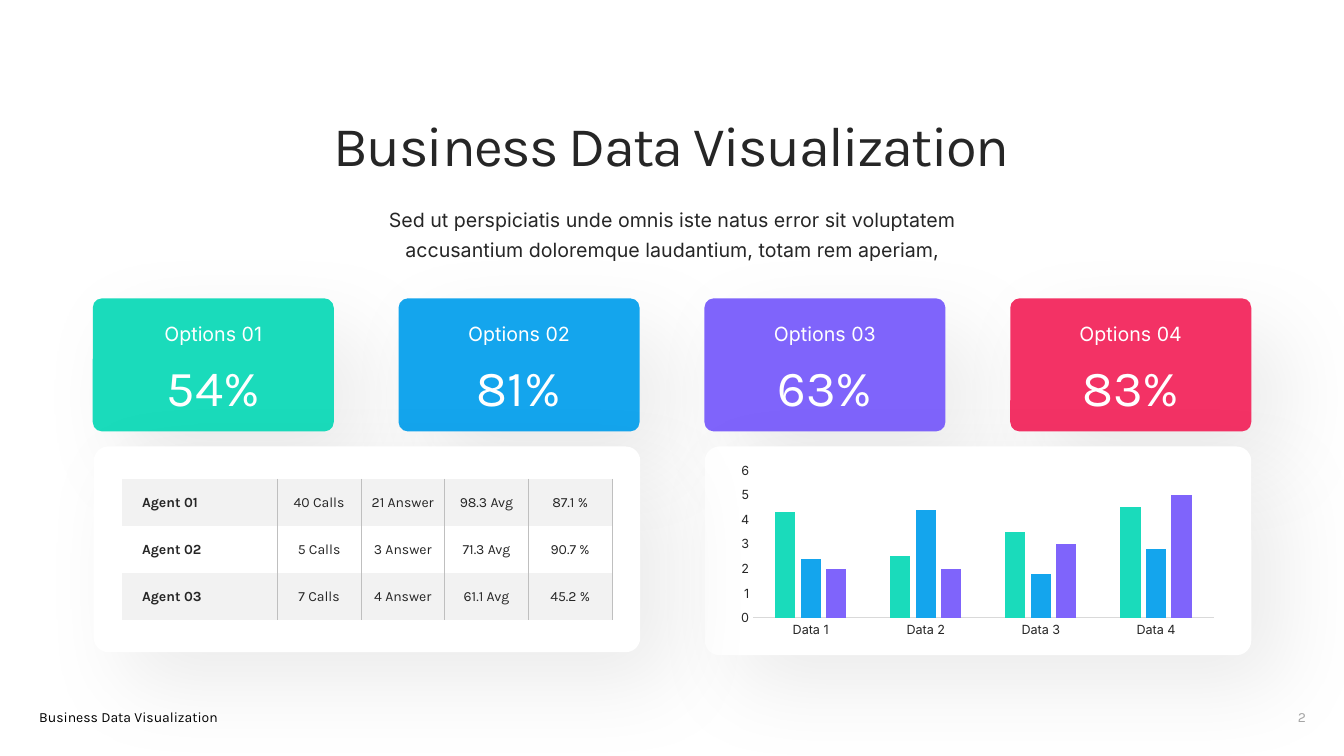
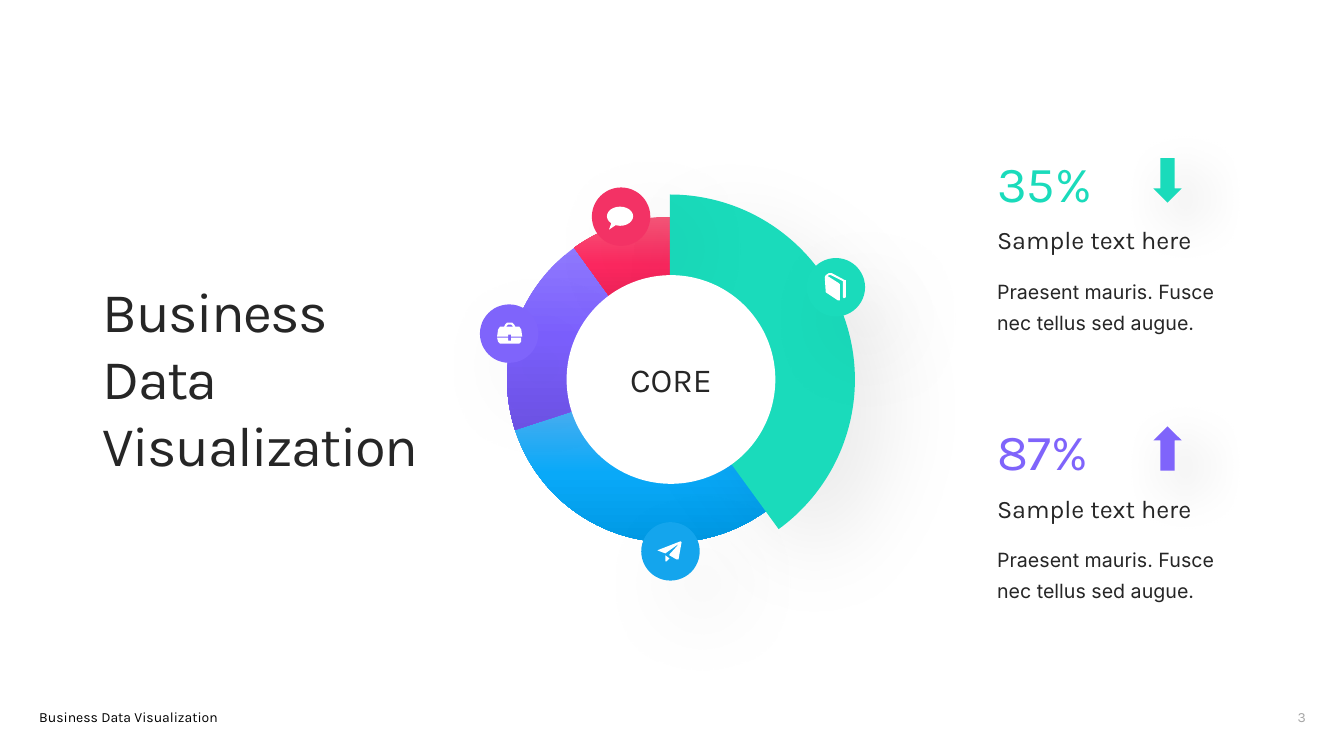
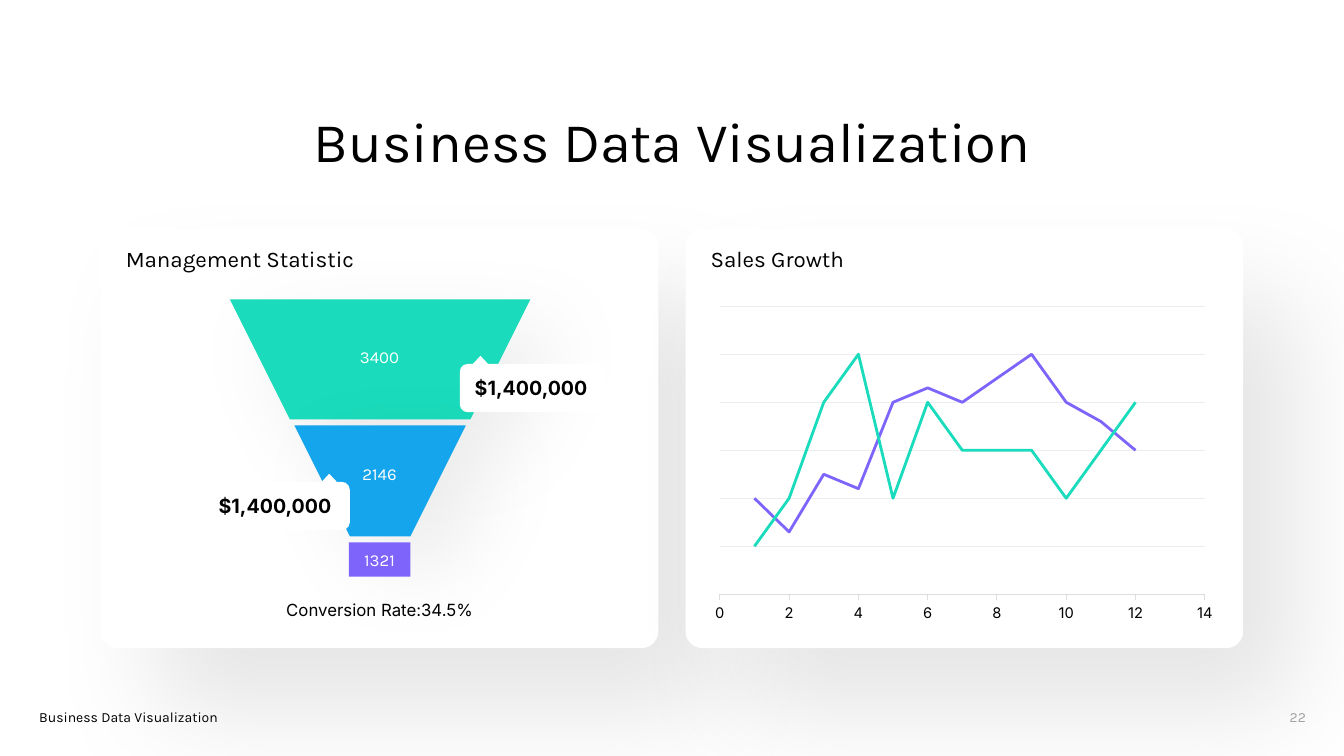
from copy import deepcopy

from lxml.etree import SubElement
from pptx import Presentation
from pptx.chart.data import CategoryChartData, XyChartData
from pptx.dml.color import RGBColor
from pptx.enum.chart import XL_CHART_TYPE, XL_TICK_MARK
from pptx.enum.shapes import MSO_SHAPE
from pptx.enum.text import MSO_ANCHOR, MSO_AUTO_SIZE, PP_ALIGN
from pptx.oxml import parse_xml
from pptx.oxml.ns import nsdecls, qn
from pptx.util import Inches, Pt

TEAL, BLUE, PURPLE, RED = "1ADBBB", "14A5ED", "7F64FB", "F33265"
BLACK, DARK, WHITE = "000000", "262626", "FFFFFF"
PALE, RULE, GREY = "F2F2F2", "BFBFBF", "A6A6A6"
HEADING_FONT, BODY_FONT = "Karla", "Inter"
TITLE = "Business Data Visualization"
NO_TABLE_STYLE = "{2D5ABB26-0587-4C30-8999-92F81FD0307C}"

# Shadows: opacity in percent, blur and distance in points, angle in degrees
SOFT_SHADOW = (8, 64, 32, 45)
ARROW_SHADOW = (23, 40, 18, 45)
PANEL_SHADOW = (10, 80, 60, 50)

# Icon outlines, in hundredths of an inch from the corner of their badge
BRIEFCASE = [
    [(28, 30), (31, 30), (31, 32), (42, 32), (41, 25), (39, 22), (35, 22), (34, 20),
     (32, 18), (27, 18), (25, 20), (24, 22), (20, 22), (18, 25), (17, 32), (28, 32)],
    [(26, 22), (28, 20), (31, 20), (33, 22)],
    [(31, 36), (28, 36), (28, 33), (17, 33), (18, 37), (20, 39), (39, 39), (41, 37),
     (41, 33), (31, 33)],
]
PAPER_PLANE = [
    [(39, 19), (16, 28), (21, 30), (24, 31), (38, 21), (28, 32), (28, 33), (35, 37),
     (37, 37), (40, 20)],
    [(24, 39), (25, 39), (28, 36), (24, 33)],
]
BOOK = [
    [(38, 22), (25, 15), (22, 15), (19, 17), (18, 19), (19, 34), (31, 42), (33, 42),
     (33, 26), (32, 25), (21, 18), (22, 17), (24, 17), (36, 23), (36, 39), (37, 40),
     (39, 39), (39, 22)],
]


def rgb(value):
    return RGBColor.from_string(value)


def box(left, top, width, height):
    return Inches(left), Inches(top), Inches(width), Inches(height)


def write_text(frame, content, size, color=DARK, font=HEADING_FONT, align=PP_ALIGN.LEFT,
               spacing=None, before=None, after=None, bold=False, anchor=MSO_ANCHOR.TOP):
    """Fill a text frame with one paragraph and return its run."""
    frame.word_wrap = True
    frame.vertical_anchor = anchor
    paragraph = frame.paragraphs[0]
    paragraph.alignment = align
    if spacing:
        paragraph.line_spacing = spacing
    if before:
        paragraph.space_before = Pt(before)
    if after:
        paragraph.space_after = Pt(after)
    run = paragraph.add_run()
    run.text = content
    run.font.size = Pt(size)
    run.font.name = font
    run.font.bold = bold
    run.font.color.rgb = rgb(color)
    return run


def add_text(slide, place, content, size, **style):
    text_box = slide.shapes.add_textbox(*box(*place))
    write_text(text_box.text_frame, content, size, **style)


def add_filled(shapes, kind, place, color, shadow=None, adjustments=()):
    """Add a borderless preset shape, with a soft shadow if one is given."""
    shape = shapes.add_shape(kind, *box(*place))
    for index, value in enumerate(adjustments):
        shape.adjustments[index] = value
    paint(shape, color)
    if shadow:
        opacity, blur, distance, angle = shadow
        effects = shape._element.spPr.find(qn("a:effectLst"))
        outer = SubElement(effects, qn("a:outerShdw"), blurRad=str(Pt(blur)),
                           dist=str(Pt(distance)), dir=str(angle * 60000),
                           algn="ctr", rotWithShape="0")
        shadow_color = SubElement(outer, qn("a:srgbClr"), val=BLACK)
        SubElement(shadow_color, qn("a:alpha"), val=str(opacity * 1000))
    return shape


def paint(shape, color):
    shape.shadow.inherit = False
    shape.fill.solid()
    shape.fill.fore_color.rgb = rgb(color)
    shape.line.fill.background()


def start_slide(presentation, number, title_place, title_color=DARK,
                title_align=PP_ALIGN.CENTER, tracking=-110):
    """Add a slide with its title, footer and page number."""
    slide = presentation.slides.add_slide(presentation.slide_layouts[5])
    title = slide.shapes.title
    title.left, title.top, title.width, title.height = box(*title_place)
    title.text_frame.auto_size = MSO_AUTO_SIZE.NONE
    run = write_text(title.text_frame, TITLE, 40, color=title_color, align=title_align)
    run.font._element.set("spc", str(tracking))
    add_text(slide, (0.29, 6.98, 2.2, 0.27), TITLE, 10, color=BLACK)
    add_text(slide, (12.55, 6.98, 0.5, 0.27), str(number), 10, color=GREY,
             align=PP_ALIGN.RIGHT)
    return slide


def add_chart(slide, kind, place, plot_place, data, size, color):
    """Add a chart whose inner plot area sits at plot_place on the slide."""
    chart = slide.shapes.add_chart(kind, *box(*place), data).chart
    chart.has_legend = False
    chart.has_title = False
    chart.font.size = Pt(size)
    chart.font.name = BODY_FONT
    chart.font.color.rgb = rgb(color)
    left, top, width, height = place
    plot_left, plot_top, plot_width, plot_height = plot_place
    plot_area = chart._chartSpace.find(".//" + qn("c:plotArea"))
    for layout in plot_area.findall(qn("c:layout")):
        plot_area.remove(layout)
    plot_area.insert(0, parse_xml(
        f'<c:layout {nsdecls("c")}><c:manualLayout><c:layoutTarget val="inner"/>'
        '<c:xMode val="edge"/><c:yMode val="edge"/>'
        f'<c:x val="{(plot_left - left) / width:.3f}"/>'
        f'<c:y val="{(plot_top - top) / height:.3f}"/>'
        f'<c:w val="{plot_width / width:.3f}"/><c:h val="{plot_height / height:.3f}"/>'
        '</c:manualLayout></c:layout>'))
    return chart


def set_scale(axis, maximum, step):
    axis.minimum_scale = 0
    axis.maximum_scale = maximum
    axis.major_unit = step


def set_line(line, color, width):
    line.color.rgb = rgb(color)
    line.width = Pt(width)


def add_column_chart(slide):
    data = CategoryChartData()
    data.categories = ["Data 1", "Data 2", "Data 3", "Data 4"]
    data.add_series("Series 1", (4.3, 2.5, 3.5, 4.5))
    data.add_series("Series 2", (2.4, 4.4, 1.8, 2.8))
    data.add_series("Series 3", (2, 2, 3, 5))
    chart = add_chart(slide, XL_CHART_TYPE.COLUMN_CLUSTERED, (7.26, 4.55, 4.88, 1.81),
                      (7.47, 4.67, 4.57, 1.46), data, 9, DARK)
    plot = chart.plots[0]
    plot.vary_by_categories = False
    plot.gap_width = 219
    plot.overlap = -27
    for series, color in zip(plot.series, (TEAL, BLUE, PURPLE)):
        series.format.fill.solid()
        series.format.fill.fore_color.rgb = rgb(color)
    set_scale(chart.value_axis, 6, 1)
    chart.value_axis.has_major_gridlines = False
    chart.value_axis.format.line.fill.background()
    set_line(chart.category_axis.format.line, "D9D9D9", 0.75)
    for axis in (chart.value_axis, chart.category_axis):
        axis.major_tick_mark = XL_TICK_MARK.NONE


def add_agent_table(slide):
    rows = [
        ("Agent 01", "40 Calls", "21 Answer", "98.3 Avg", "87.1 %"),
        ("Agent 02", "5 Calls", "3 Answer", "71.3 Avg", "90.7 %"),
        ("Agent 03", "7 Calls", "4 Answer", "61.1 Avg", "45.2 %"),
    ]
    frame = slide.shapes.add_table(len(rows), len(rows[0]), *box(1.21, 4.75, 4.85, 1.4))
    table = frame.table
    table.first_row = table.horz_banding = False
    table._tbl.tblPr.find(qn("a:tableStyleId")).text = NO_TABLE_STYLE
    for index, column in enumerate(table.columns):
        column.width = Inches(0.83 if index else 1.54)
    for row_index, row in enumerate(rows):
        for column_index, content in enumerate(row):
            is_name = column_index == 0
            cell = table.cell(row_index, column_index)
            cell.fill.solid()
            cell.fill.fore_color.rgb = rgb(WHITE if row_index % 2 else PALE)
            cell.margin_left = Inches(0.2 if is_name else 0.05)
            cell.margin_right = Inches(0.05)
            write_text(cell.text_frame, content, 10, bold=is_name, spacing=1.1,
                       align=PP_ALIGN.LEFT if is_name else PP_ALIGN.CENTER)
            cell.vertical_anchor = MSO_ANCHOR.MIDDLE
            cell._tc.get_or_add_tcPr().insert(0, parse_xml(
                f'<a:lnR {nsdecls("a")} w="{Pt(0.5)}"><a:solidFill>'
                f'<a:srgbClr val="{RULE}"/></a:solidFill></a:lnR>'))


def add_doughnut(slide):
    data = CategoryChartData()
    data.categories = ["1", "2", "3", "4"]
    data.add_series("Series 1", (40, 30, 20, 10))
    chart = add_chart(slide, XL_CHART_TYPE.DOUGHNUT, (4.66, 2.01, 3.97, 3.5),
                      (5.03, 2.15, 3.23, 3.23), data, 10, BLACK)
    plot = chart.plots[0]
    plot._element.find(qn("c:holeSize")).set("val", "75")
    gradients = [
        ("4DE4C5", "10E5C1", "06D4B2"),
        ("4DAFF1", "09A9F8", "0099E4"),
        ("8F79FD", "7C60FF", "6D53E5"),
        ("F75779", "FD2860", "E51F54"),
    ]
    for index, colors in enumerate(gradients):
        fill = plot.series[0].points[index].format.fill
        fill.gradient()
        fill.gradient_angle = 270
        last = fill.gradient_stops[1]._gs
        last.addprevious(deepcopy(last))
        for stop, color, position in zip(fill.gradient_stops, colors, (0, 0.5, 1)):
            stop.color.rgb = rgb(color)
            stop.position = position


def add_badge(slide, left, top, color, outlines=None):
    """Add a round badge with an icon, a speech bubble where no outline is given."""
    shapes = slide.shapes.add_group_shape().shapes
    add_filled(shapes, MSO_SHAPE.OVAL, (left, top, 0.58, 0.58), color, SOFT_SHADOW)
    if outlines is None:
        add_filled(shapes, MSO_SHAPE.OVAL_CALLOUT, (left + 0.15, top + 0.19, 0.26, 0.19),
                   WHITE, adjustments=(-0.42, 0.7))
        return
    builder = shapes.build_freeform(*outlines[0][0], scale=Inches(0.01))
    for outline in outlines:
        if outline is not outlines[0]:
            builder.move_to(*outline[0])
        builder.add_line_segments(outline[1:], close=True)
    paint(builder.convert_to_shape(Inches(left), Inches(top)), WHITE)


def add_statistic(slide, top, value, color, arrow):
    left = 9.79
    add_text(slide, (left, top, 1.55, 0.71), value, 36, color=color)
    add_filled(slide.shapes, arrow, (11.44, top + 0.11, 0.28, 0.44), color, ARROW_SHADOW)
    add_text(slide, (left, top + 0.72, 2.35, 0.4), "Sample text here", 18)
    add_text(slide, (left, top + 1.2, 2.49, 0.68),
             "Praesent mauris. Fusce nec tellus sed augue.", 14, font=BODY_FONT, spacing=1.3)


def add_funnel(slide):
    label_style = dict(color=WHITE, align=PP_ALIGN.CENTER, after=6, anchor=MSO_ANCHOR.MIDDLE)
    levels = [
        ((2.28, 2.97, 2.98, 1.19), TEAL, "3400", 3.37),
        ((2.92, 4.22, 1.7, 1.1), BLUE, "2146", 4.53),
    ]
    for place, color, label, label_top in levels:
        level = add_filled(slide.shapes, MSO_SHAPE.TRAPEZOID, place, color, SOFT_SHADOW, (0.5,))
        level.rotation = 180
        add_text(slide, (3.41, label_top, 0.71, 0.34), label, 12, **label_style)
    base = add_filled(slide.shapes, MSO_SHAPE.RECTANGLE, (3.46, 5.38, 0.61, 0.34), PURPLE)
    write_text(base.text_frame, "1321", 12, **label_style)
    add_text(slide, (2.24, 5.9, 3.05, 0.3), "Conversion Rate:34.5%", 12, color=BLACK,
             font=BODY_FONT, align=PP_ALIGN.CENTER, after=6)


def add_callout(slide, left, top, pointer_offset):
    group = slide.shapes.add_group_shape()
    add_filled(group.shapes, MSO_SHAPE.ROUNDED_RECTANGLE, (left, top, 1.45, 0.48), WHITE)
    add_filled(group.shapes, MSO_SHAPE.ISOSCELES_TRIANGLE,
               (left + pointer_offset, top - 0.08, 0.15, 0.08), WHITE)
    add_text(group, (left + 0.05, top + 0.07, 1.35, 0.34), "$1,400,000", 14, color=BLACK,
             font=BODY_FONT, bold=True)


def add_growth_chart(slide):
    data = XyChartData()
    curves = [
        ("Series 1", (20, 40, 80, 100, 40, 80, 60, 60, 60, 40, 60, 80)),
        ("Series 2", (40, 26, 50, 44, 80, 86, 80, 90, 100, 80, 72, 60)),
    ]
    for name, values in curves:
        series = data.add_series(name)
        for month, value in enumerate(values, start=1):
            series.add_data_point(month, value)
    chart = add_chart(slide, XL_CHART_TYPE.XY_SCATTER_SMOOTH_NO_MARKERS,
                      (6.99, 2.97, 5.14, 3.26), (7.14, 3.04, 4.81, 2.86), data, 10.5, BLACK)
    chart.plots[0].vary_by_categories = False
    for series, color in zip(chart.plots[0].series, (TEAL, PURPLE)):
        series.smooth = True
        set_line(series.format.line, color, 2)
    months, amounts = chart.category_axis, chart.value_axis
    set_scale(months, 14, 2)
    months.has_major_gridlines = False
    months.major_tick_mark = XL_TICK_MARK.OUTSIDE
    set_line(months.format.line, "DDDDDD", 0.75)
    set_scale(amounts, 120, 20)
    amounts.visible = False
    amounts.has_major_gridlines = True
    set_line(amounts.major_gridlines.format.line, "EDEDED", 0.75)


def build_options_slide(presentation):
    slide = start_slide(presentation, 2, (1.15, 1.05, 11.02, 0.77))
    options = [("54%", TEAL), ("81%", BLUE), ("63%", PURPLE), ("83%", RED)]
    first, last, width = 0.92, 10.02, 2.39
    step = (last - first) / (len(options) - 1)
    card_text = dict(color=WHITE, align=PP_ALIGN.CENTER, spacing=1.14)
    for index, (value, color) in enumerate(options):
        left = first + index * step
        add_filled(slide.shapes, MSO_SHAPE.ROUNDED_RECTANGLE, (left, 2.96, width, 1.32),
                   color, SOFT_SHADOW, (0.07,))
        add_text(slide, (left + 0.52, 3.11, 1.35, 0.35), f"Options {index + 1:02}", 14,
                 font=BODY_FONT, **card_text)
        add_text(slide, (left + 0.52, 3.4, 1.35, 0.75), value, 36, **card_text)
    for left, height in ((6.99, 2.07), (0.93, 2.04)):
        add_filled(slide.shapes, MSO_SHAPE.ROUNDED_RECTANGLE, (left, 4.43, 5.42, height),
                   WHITE, SOFT_SHADOW, (0.07,))
    add_column_chart(slide)
    add_agent_table(slide)
    add_text(slide, (3.62, 1.94, 6.1, 0.69),
             "Sed ut perspiciatis unde omnis iste natus error sit voluptatem accusantium "
             "doloremque laudantium, totam rem aperiam,", 14, font=BODY_FONT,
             align=PP_ALIGN.CENTER, spacing=1.3, before=9)


def build_core_slide(presentation):
    slide = start_slide(presentation, 3, (0.92, 2.69, 3.56, 2.12),
                        title_align=PP_ALIGN.LEFT)
    add_doughnut(slide)
    add_badge(slide, 4.76, 3.02, PURPLE, BRIEFCASE)
    # Pie angles run clockwise from the right, at 0.6 adjustment units a degree
    add_filled(slide.shapes, MSO_SHAPE.PIE, (4.81, 1.93, 3.67, 3.67), TEAL, SOFT_SHADOW,
               (270 * 0.6, 54 * 0.6))
    add_badge(slide, 6.36, 5.18, BLUE, PAPER_PLANE)
    add_badge(slide, 8, 2.56, TEAL, BOOK)
    add_badge(slide, 5.87, 1.86, RED)
    core = add_filled(slide.shapes, MSO_SHAPE.OVAL, (5.62, 2.73, 2.07, 2.07), WHITE)
    write_text(core.text_frame, "CORE", 24, align=PP_ALIGN.CENTER, anchor=MSO_ANCHOR.MIDDLE)
    add_statistic(slide, 1.46, "35%", TEAL, MSO_SHAPE.DOWN_ARROW)
    add_statistic(slide, 4.12, "87%", PURPLE, MSO_SHAPE.UP_ARROW)


def build_growth_slide(presentation):
    slide = start_slide(presentation, 22, (1.66, 1.01, 10.01, 0.77), title_color=BLACK,
                        tracking=0)
    panels = [(1, "Management Statistic"), (6.8, "Sales Growth")]
    for left, _ in panels:
        add_filled(slide.shapes, MSO_SHAPE.ROUNDED_RECTANGLE, (left, 2.27, 5.53, 4.16),
                   WHITE, PANEL_SHADOW, (0.04,))
    for left, heading in panels:
        add_text(slide, (left + 0.15, 2.38, 5.24, 0.37), heading, 16, color=BLACK, after=6)
    add_growth_chart(slide)
    add_funnel(slide)
    add_callout(slide, 4.56, 3.61, 0.13)
    add_callout(slide, 2.02, 4.78, 1.17)


def main():
    presentation = Presentation()
    presentation.slide_width = Inches(13.33)
    presentation.slide_height = Inches(7.5)
    build_options_slide(presentation)
    build_core_slide(presentation)
    build_growth_slide(presentation)
    presentation.save("out.pptx")


if __name__ == "__main__":
    main()
